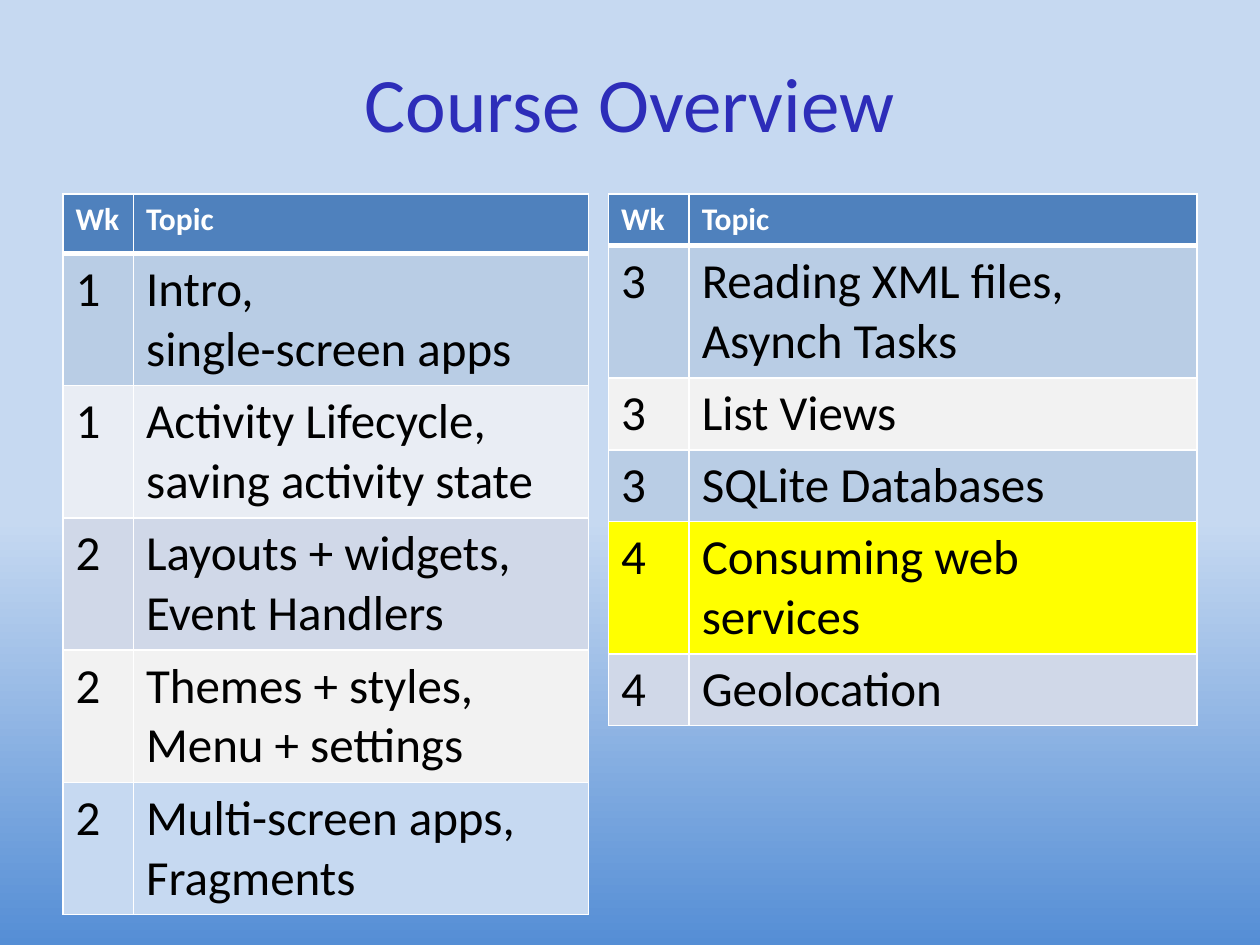
"""Build the course overview slide with two week-by-week topic tables."""
from lxml import etree
from pptx import Presentation
from pptx.dml.color import RGBColor
from pptx.enum.text import MSO_ANCHOR, PP_ALIGN
from pptx.oxml.ns import qn
from pptx.util import Inches, Pt

MIDDLE = MSO_ANCHOR.MIDDLE
CENTER = PP_ALIGN.CENTER
FONT = "Calibri"
WHITE, BLACK, INK = "FFFFFF", "000000", "2D2DB9"
HEAD, BLUE, PALE, GREY = "4F81BD", "B9CDE5", "D0D8E8", "F2F2F2"
ICE, SKY, DEEP, YELLOW = "E9EDF4", "C6D9F1", "558ED5", "FFFF00"

TITLE = "Course Overview"
HEADS = ("Wk", "Topic")
TOP, TALL, SHORT = 1.54, 1.05, 0.57
TABLES = [
    {"left": 0.5, "cols": (0.56, 3.61), "head": 0.47, "rows": [
        ("1", "Intro, \vsingle-screen apps", BLUE, TALL),
        ("1", "Activity Lifecycle, saving activity state", ICE, TALL),
        ("2", "Layouts + widgets,\nEvent Handlers", PALE, TALL),
        ("2", "Themes + styles,\nMenu + settings", GREY, TALL),
        ("2", "Multi-screen apps, Fragments", SKY, TALL),
    ]},
    {"left": 4.83, "cols": (0.64, 4.03), "head": 0.41, "rows": [
        ("3", "Reading XML files,\nAsynch Tasks", BLUE, TALL),
        ("3", "List Views", GREY, SHORT),
        ("3", "SQLite Databases", BLUE, SHORT),
        ("4", "Consuming web services", YELLOW, TALL),
        ("4", "Geolocation", PALE, SHORT),
    ]},
]


def rgb(code):
    return RGBColor.from_string(code)


def write(frame, text, size, color, bold=False, align=None):
    for i, line in enumerate(text.split("\n")):
        para = frame.add_paragraph() if i else frame.paragraphs[0]
        para.alignment = align
        for j, part in enumerate(line.split("\v")):
            if j:
                para.add_line_break()
            run = para.add_run()
            run.text = part
            font = run.font
            font.name, font.size, font.bold = FONT, Pt(size), bold
            font.color.rgb = rgb(color)


def edge(cell, widths):
    props = cell._tc.get_or_add_tcPr()
    for i, (side, width) in enumerate(zip("LRTB", widths)):
        line = etree.Element(qn(f"a:ln{side}"), w=str(Pt(width)))
        fill = etree.SubElement(line, qn("a:solidFill"))
        etree.SubElement(fill, qn("a:srgbClr"), val=WHITE)
        props.insert(i, line)


def add_grid(slide, left, cols, head, rows):
    rows = [(*HEADS, HEAD, head)] + rows
    tall = sum(row[-1] for row in rows)
    table = slide.shapes.add_table(
        len(rows), len(cols), Inches(left), Inches(TOP),
        Inches(sum(cols)), Inches(tall)).table
    for col, width in zip(table.columns, cols):
        col.width = Inches(width)
    for r, (*texts, fill, high) in enumerate(rows):
        table.rows[r].height = Inches(high)
        style = (28, BLACK) if r else (18, WHITE, True)
        widths = (1, 1, 3 if r == 1 else 1, 1 if r else 3)
        for c, text in enumerate(texts):
            cell = table.cell(r, c)
            cell.fill.solid()
            cell.fill.fore_color.rgb = rgb(fill)
            write(cell.text_frame, text, *style)
            edge(cell, widths)


def main():
    deck = Presentation()
    deck.slide_width, deck.slide_height = Inches(10), Inches(7.5)
    slide = deck.slides.add_slide(deck.slide_layouts[6])
    back = slide.background.fill
    back.gradient()
    back.gradient_angle = 270
    for stop, spot, code in zip(back.gradient_stops, (0.55, 1), (SKY, DEEP)):
        stop.position = spot
        stop.color.rgb = rgb(code)
    box = slide.shapes.add_textbox(
        Inches(0.5), Inches(0.3), Inches(9), Inches(1.02))
    frame = box.text_frame
    frame.word_wrap, frame.vertical_anchor = True, MIDDLE
    write(frame, TITLE, 44, INK, align=CENTER)
    for grid in TABLES:
        add_grid(slide, **grid)
    deck.save("out.pptx")


if __name__ == "__main__":
    main()
